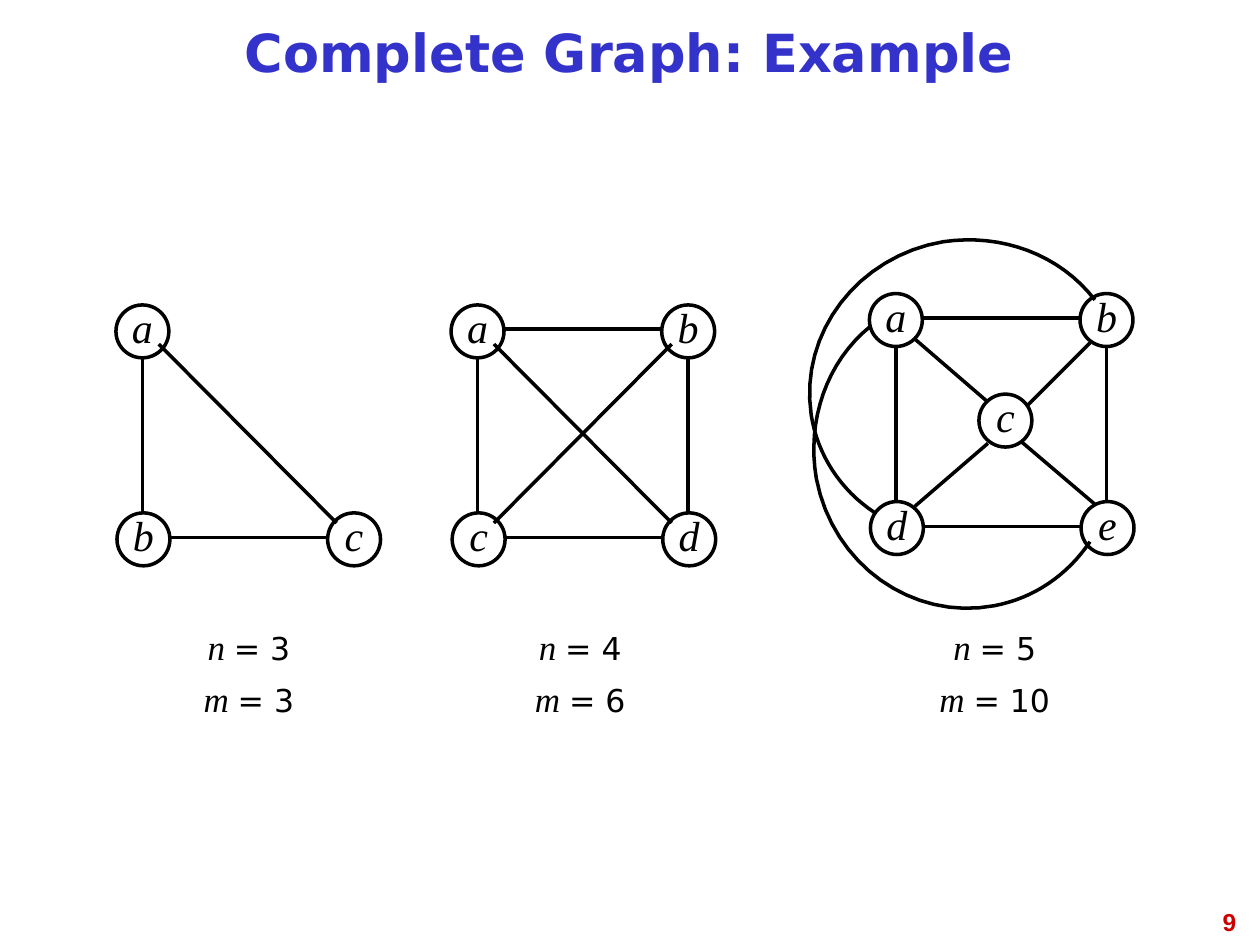
from dataclasses import dataclass
from typing import NamedTuple

import pptx
import pptx.dml.color
import pptx.enum.shapes
import pptx.enum.text
import pptx.oxml.ns
import pptx.shapes.group
import pptx.shapes.shapetree
import pptx.slide
import pptx.text.text
import pptx.util
from lxml import etree

BLACK = pptx.dml.color.RGBColor(0x00, 0x00, 0x00)
BLUE = pptx.dml.color.RGBColor(0x33, 0x33, 0xCC)
RED = pptx.dml.color.RGBColor(0xCC, 0x00, 0x00)

ALIGN = pptx.enum.text.PP_ALIGN
ANCHOR = pptx.enum.text.MSO_ANCHOR

CELL = 0.42
STROKE = pptx.util.Pt(2)
CURVE_STEPS = 16
LABEL_TOP = 4.92
LABEL_PITCH = 0.41
TIGHT = 0.81


class Point(NamedTuple):
    column: float
    row: float


class Edge(NamedTuple):
    start: Point
    end: Point


class Span(NamedTuple):
    text: str
    style: dict


@dataclass(frozen=True)
class Graph:
    left: float
    top: float
    label_left: float
    nodes: dict[str, Point]
    edges: tuple[Edge, ...]
    arcs: tuple[tuple[Point, ...], ...]
    counts: dict[str, int]

    def place(self, point: Point) -> tuple[int, int]:
        return (pptx.util.Inches(self.left + point.column * CELL),
                pptx.util.Inches(self.top + point.row * CELL))


TITLE_STYLE = {"name": "DejaVu Sans", "size": pptx.util.Pt(30), "bold": True}
NUMBER_STYLE = {"name": "Arial", "size": pptx.util.Pt(14), "bold": True}
NODE_STYLE = {"name": "Times New Roman", "size": pptx.util.Pt(24), "italic": True}
SYMBOL_STYLE = {"name": "Times New Roman", "size": pptx.util.Pt(20), "italic": True}
VALUE_STYLE = {"name": "DejaVu Sans", "size": pptx.util.Pt(18), "italic": False}

TOP_LEFT, TOP_RIGHT = Point(0, 0), Point(3.98, 0)
BOTTOM_LEFT, BOTTOM_RIGHT = Point(0.02, 3.93), Point(4, 3.93)
CENTRE = Point(2.07, 1.9)

TOP = Edge(Point(1, 0.46), Point(3.96, 0.46))
BOTTOM = Edge(Point(1, 4.4), Point(3.98, 4.4))
LEFT = Edge(Point(0.5, 3.95), Point(0.5, 0.98))
RIGHT = Edge(Point(4.48, 3.95), Point(4.48, 0.98))
FALLING = Edge(Point(0.81, 0.74), Point(4.17, 4.12))
RISING = Edge(Point(4.17, 0.74), Point(0.81, 4.12))
SPOKES = (
    Edge(Point(0.86, 0.86), Point(2.24, 2.05)),
    Edge(Point(2.86, 2.79), Point(4.26, 3.98)),
    Edge(Point(2.24, 2.83), Point(0.86, 4.02)),
    Edge(Point(4.17, 0.93), Point(2.98, 2.12)),
)
ARC_D_TO_B = (
    Point(0.1, 4.14), Point(-0.55, 3.71), Point(-0.98, 3.05), Point(-1.1, 2.29),
    Point(-1.33, 0.74), Point(-0.21, -0.71), Point(1.4, -0.98),
    Point(2.5, -1.14), Point(3.6, -0.74), Point(4.26, 0.12),
)
ARC_E_TO_A = (
    Point(4.17, 4.69), Point(3.74, 5.33), Point(3.1, 5.76), Point(2.36, 5.9),
    Point(0.81, 6.19), Point(-0.69, 5.12), Point(-1, 3.5),
    Point(-1.19, 2.4), Point(-0.81, 1.29), Point(0.02, 0.62),
)

GRAPHS = (
    Graph(6.9, 2.33, 7.37,
          {"a": TOP_LEFT, "b": TOP_RIGHT, "d": BOTTOM_LEFT, "e": BOTTOM_RIGHT, "c": CENTRE},
          (TOP, BOTTOM, LEFT, RIGHT, *SPOKES), (ARC_D_TO_B, ARC_E_TO_A), {"n": 5, "m": 10}),
    Graph(3.58, 2.42, 4.08,
          {"a": TOP_LEFT, "b": TOP_RIGHT, "c": BOTTOM_LEFT, "d": BOTTOM_RIGHT},
          (TOP, BOTTOM, LEFT, RIGHT, FALLING, RISING), (), {"n": 4, "m": 6}),
    Graph(0.92, 2.42, 1.45,
          {"a": TOP_LEFT, "b": BOTTOM_LEFT, "c": BOTTOM_RIGHT},
          (BOTTOM, LEFT, FALLING), (), {"n": 3, "m": 3}),
)


def write(frame: pptx.text.text.TextFrame, spans: list[Span],
          color: pptx.dml.color.RGBColor = BLACK, align: ALIGN = ALIGN.CENTER,
          anchor: ANCHOR = ANCHOR.MIDDLE, wrap: bool = False,
          spacing: float = 1.0) -> None:
    frame.word_wrap = wrap
    frame.vertical_anchor = anchor
    if not wrap:
        frame.margin_left = frame.margin_right = 0
    para = frame.paragraphs[0]
    para.alignment = align
    para.line_spacing = spacing
    for text, style in spans:
        span = para.add_run()
        span.text = text
        span.font.color.rgb = color
        for attribute, value in style.items():
            setattr(span.font, attribute, value)


def add_text(page: pptx.slide.Slide, left: float, top: float, width: float,
             height: float, spans: list[Span], **options) -> None:
    box = page.shapes.add_textbox(*map(pptx.util.Inches, (left, top, width, height)))
    write(box.text_frame, spans, **options)


def outline(shape) -> None:
    shape.line.color.rgb = BLACK
    shape.line.width = STROKE


def draw_node(group: pptx.shapes.group.GroupShape, graph: Graph, name: str, point: Point) -> None:
    size = pptx.util.Inches(CELL)
    node = group.shapes.add_shape(
        pptx.enum.shapes.MSO_SHAPE.OVAL, *graph.place(point), size, size)
    node.shadow.inherit = False
    node.fill.background()
    outline(node)
    write(node.text_frame, [Span(name, NODE_STYLE)], spacing=TIGHT)


def draw_edge(group: pptx.shapes.group.GroupShape, graph: Graph, edge: Edge) -> None:
    line = group.shapes.add_connector(
        pptx.enum.shapes.MSO_CONNECTOR.STRAIGHT,
        *graph.place(edge.start), *graph.place(edge.end))
    outline(line)
    etree.SubElement(line._element.spPr, pptx.oxml.ns.qn("a:effectLst"))


def curve_point(controls: tuple[Point, ...], share: float) -> Point:
    rest = 1 - share
    weights = (rest ** 3, 3 * rest ** 2 * share, 3 * rest * share ** 2, share ** 3)
    return Point(*(sum(weight * value for weight, value in zip(weights, axis))
                   for axis in zip(*controls)))


def draw_arc(group: pptx.shapes.group.GroupShape, graph: Graph, arc: tuple[Point, ...]) -> None:
    points = [curve_point(arc[first:first + 4], step / CURVE_STEPS)
              for first in range(0, len(arc) - 1, 3)
              for step in range(1, CURVE_STEPS + 1)]
    builder = group.shapes.build_freeform(*graph.place(arc[0]))
    builder.add_line_segments([graph.place(point) for point in points], close=False)
    curve = builder.convert_to_shape()
    curve.shadow.inherit = False
    curve.fill.background()
    outline(curve)


def draw_graph(page: pptx.slide.Slide, graph: Graph) -> None:
    group = page.shapes.add_group_shape()
    for name, point in graph.nodes.items():
        draw_node(group, graph, name, point)
    for edge in graph.edges:
        draw_edge(group, graph, edge)
    for arc in graph.arcs:
        draw_arc(group, graph, arc)
    for index, (symbol, value) in enumerate(graph.counts.items()):
        add_text(page, graph.label_left, LABEL_TOP + index * LABEL_PITCH, 1.05, CELL,
                 [Span(f"{symbol} ", SYMBOL_STYLE), Span(f"= {value}", VALUE_STYLE)])


def main() -> None:
    deck = pptx.Presentation()
    deck.slide_width = pptx.util.Inches(10)
    deck.slide_height = pptx.util.Inches(7.5)
    page = deck.slides.add_slide(deck.slide_layouts[6])
    add_text(page, 7.58, 7.15, 2.33, 0.52, [Span("9", NUMBER_STYLE)],
             color=RED, align=ALIGN.RIGHT, anchor=ANCHOR.TOP, wrap=True)
    add_text(page, 0.5, 0.08, 8.99, 0.75, [Span("Complete Graph: Example", TITLE_STYLE)],
             color=BLUE, wrap=True, spacing=TIGHT)
    for graph in GRAPHS:
        draw_graph(page, graph)
    deck.save("out.pptx")


if __name__ == "__main__":
    main()
